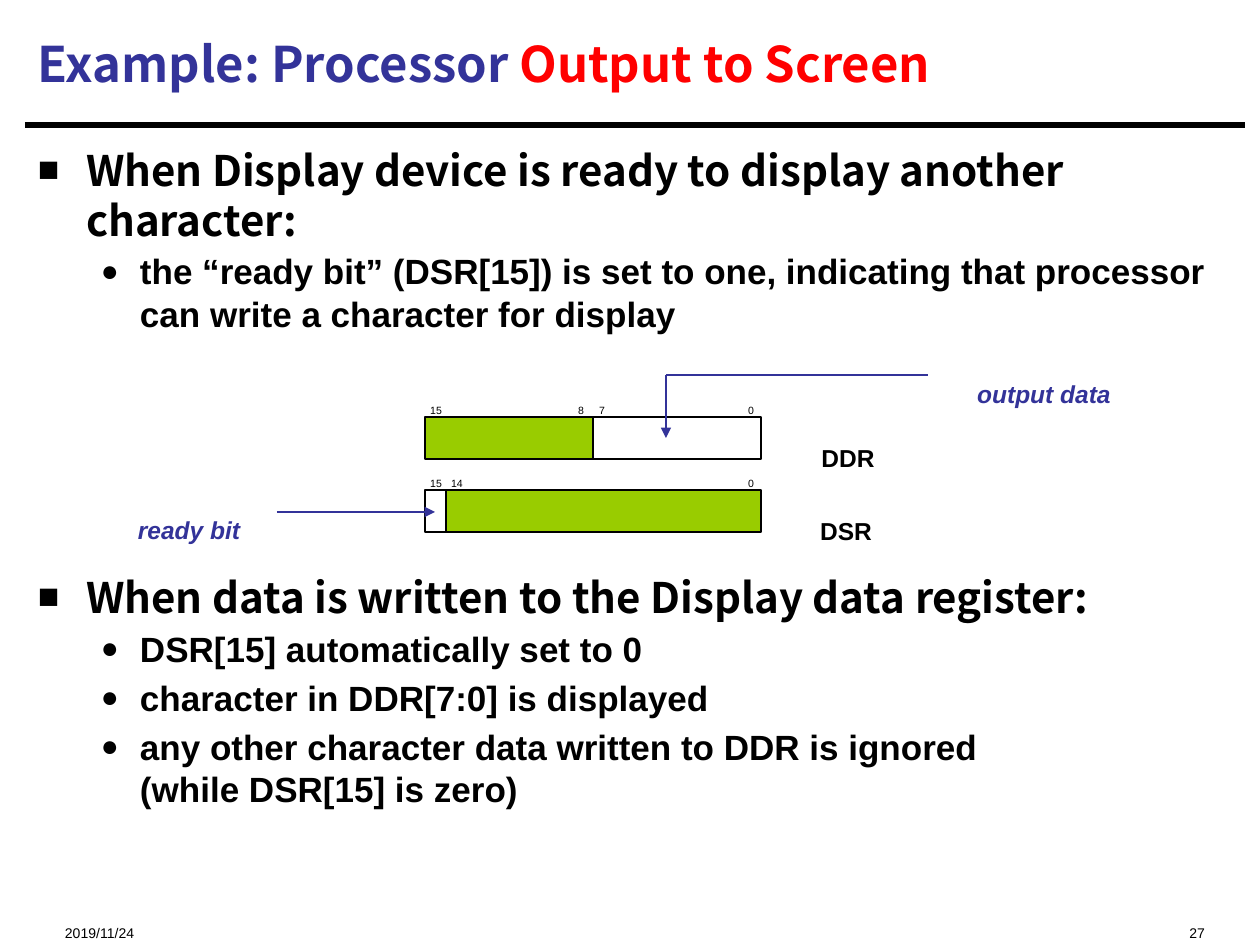
from lxml.etree import SubElement
from pptx import Presentation
from pptx.dml.color import RGBColor
from pptx.enum.shapes import MSO_CONNECTOR, MSO_SHAPE
from pptx.enum.text import MSO_ANCHOR, PP_ALIGN
from pptx.oxml.ns import qn
from pptx.util import Pt

PX = 914400 / 126
BLACK, BLUE, RED, GREEN, WHITE = "000000", "333399", "FF0000", "99CC00", "FFFFFF"
HEAD_FONT, TEXT_FONT = "Noto Sans CJK SC", "Arial"

TITLE = [("Example: Processor ", BLUE), ("Output to Screen", RED)]

# level, space before in points, text
BODY = [
    (0, 0, "When Display device is ready to display another character:"),
    (1, 3, "the “ready bit” (DSR[15]) is set to one, indicating that "
           "processor can write a character for display"),
    (0, 136, "When data is written to the Display data register:"),
    (1, 3, "DSR[15] automatically set to 0"),
    (1, 4, "character in DDR[7:0] is displayed"),
    (1, 4, "any other character data written to DDR is ignored\v(while DSR[15] is zero)"),
]
LEVELS = [
    {"font": {"name": HEAD_FONT, "size": Pt(24), "bold": True},
     "line": Pt(28.5), "margin": 48, "hang": 48, "bullet": "■"},
    {"font": {"name": TEXT_FONT, "size": Pt(20), "bold": True},
     "line": Pt(24), "margin": 102, "hang": 39, "bullet": "●"},
]

REG_LEFT, REG_HEIGHT, BIT = 425, 42, 21
# top, fields as (bits, fill), bit numbers as (centre x, text)
REGISTERS = [
    (417, [(8, GREEN), (8, WHITE)], [(436, "15"), (581, "8"), (602, "7"), (751, "0")]),
    (490, [(1, WHITE), (15, GREEN)], [(436, "15"), (457, "14"), (751, "0")]),
]

# centre x, centre y, text, colour, italic
LABELS = [
    (848, 458, "DDR", BLACK, False),
    (846, 531, "DSR", BLACK, False),
    (1044, 394, "output data", BLUE, True),
    (189, 530, "ready bit", BLUE, True),
]

# start, end, colour, width in points, arrowhead
LINES = [
    ((25, 125), (1245, 125), BLACK, 3.75, False),
    ((928, 375), (666, 375), BLUE, 0.75, False),
    ((666, 375), (666, 438), BLUE, 0.75, True),
    ((277, 512), (435, 512), BLUE, 0.75, True),
]


def px(*values):
    return [round(v * PX) for v in values]


def rgb(color):
    return RGBColor.from_string(color)


def style(r, color, **values):
    r.font.color.rgb = rgb(color)
    for name, value in values.items():
        setattr(r.font, name, value)


def add_box(s, x, y, w, h, anchor=MSO_ANCHOR.MIDDLE, wrap=True):
    """Add a text box without insets and return its text frame."""
    tf = s.shapes.add_textbox(*px(x, y, w, h)).text_frame
    frame = {"margin_left": 0, "margin_right": 0, "margin_top": 0,
             "margin_bottom": 0, "vertical_anchor": anchor, "word_wrap": wrap}
    for name, value in frame.items():
        setattr(tf, name, value)
    return tf


def add_label(s, x, y, w, h, text, color, align=PP_ALIGN.CENTER, **values):
    p = add_box(s, x, y, w, h, wrap=False).paragraphs[0]
    p.alignment = align
    r = p.add_run()
    r.text = text
    style(r, color, name=TEXT_FONT, **values)


def add_title(s):
    p = add_box(s, 38, 10, 1193, 106).paragraphs[0]
    for text, color in TITLE:
        r = p.add_run()
        r.text = text
        style(r, color, name=HEAD_FONT, size=Pt(28), bold=True)


def add_bullet(p, level):
    pPr = p._p.get_or_add_pPr()
    margin, hang = px(level["margin"], level["hang"])
    pPr.set("marL", str(margin))
    pPr.set("indent", str(-hang))
    SubElement(pPr, qn("a:buSzPct")).set("val", "85000")
    SubElement(pPr, qn("a:buFont")).set("typeface", TEXT_FONT)
    SubElement(pPr, qn("a:buChar")).set("char", level["bullet"])


def add_body(s):
    tf = add_box(s, 38, 145, 1193, 740, MSO_ANCHOR.TOP)
    for i, (number, before, text) in enumerate(BODY):
        level = LEVELS[number]
        p = tf.paragraphs[0] if i == 0 else tf.add_paragraph()
        p.text = text
        p.level = number
        p.space_before = Pt(before)
        p.line_spacing = level["line"]
        add_bullet(p, level)
        for r in p.runs:
            style(r, BLACK, **level["font"])


def add_register(s, top, fields, numbers):
    left = REG_LEFT
    for bits, fill in fields:
        width = bits * BIT
        sp = s.shapes.add_shape(MSO_SHAPE.RECTANGLE, *px(left, top, width, REG_HEIGHT))
        sp.shadow.inherit = False
        sp.fill.solid()
        sp.fill.fore_color.rgb = rgb(fill)
        sp.line.color.rgb = rgb(BLACK)
        sp.line.width = Pt(0.75)
        left += width
    for x, text in numbers:
        add_label(s, x - 10, top - 15, 20, 16, text, BLACK, size=Pt(6))


def add_line(s, start, end, color, width, arrow):
    line = s.shapes.add_connector(MSO_CONNECTOR.STRAIGHT, *px(*start, *end))
    line.line.color.rgb = rgb(color)
    line.line.width = Pt(width)
    if arrow:
        SubElement(line.line._get_or_add_ln(), qn("a:tailEnd")).set("type", "triangle")
    SubElement(line._element.spPr, qn("a:effectLst"))


def main():
    prs = Presentation()
    prs.slide_width, prs.slide_height = px(1260, 945)
    s = prs.slides.add_slide(prs.slide_layouts[6])
    add_title(s)
    add_body(s)
    for register in REGISTERS:
        add_register(s, *register)
    for x, y, text, color, italic in LABELS:
        add_label(s, x - 80, y - 20, 160, 40, text, color,
                  size=Pt(14), bold=True, italic=italic)
    for line in LINES:
        add_line(s, *line)
    add_label(s, 65, 916, 290, 34, "2019/11/24", BLACK, PP_ALIGN.LEFT, size=Pt(8))
    add_label(s, 853, 916, 352, 34, "27", BLACK, PP_ALIGN.RIGHT, size=Pt(8))
    prs.save("out.pptx")


if __name__ == "__main__":
    main()
